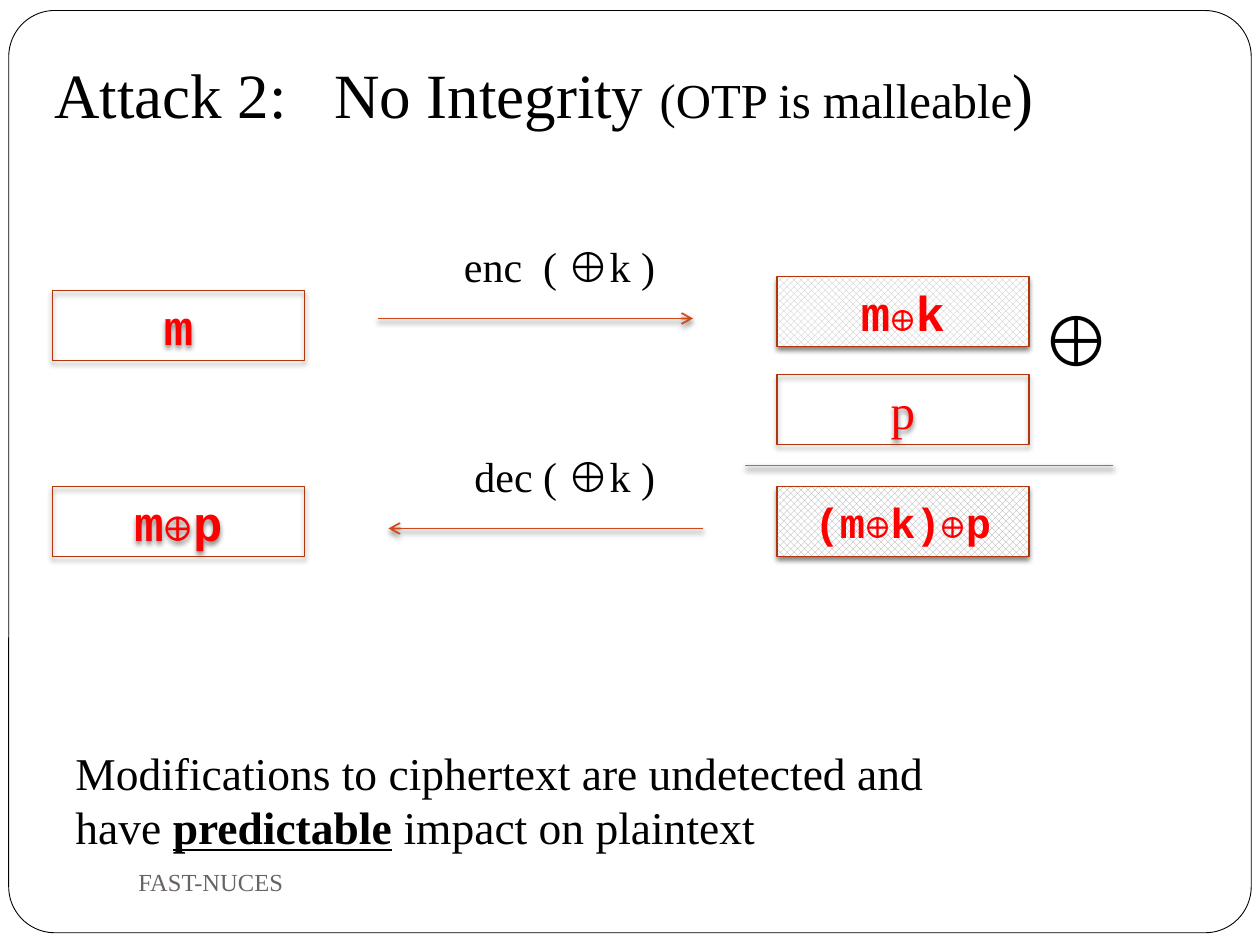
import pptx
import pptx.util
import pptx.dml.color
import pptx.enum.dml
import pptx.enum.shapes
import pptx.enum.text
import pptx.oxml
import pptx.oxml.ns
from lxml import etree

RGB = pptx.dml.color.RGBColor
BLACK = RGB(0x00, 0x00, 0x00)
WHITE = RGB(0xFF, 0xFF, 0xFF)
RED = RGB(0xFF, 0x00, 0x00)
RUST = RGB(0xB1, 0x36, 0x0B)
FLAME = RGB(0xD3, 0x48, 0x17)
GRAY = RGB(0x7F, 0x7F, 0x7F)
SLATE = RGB(0x69, 0x64, 0x64)
PALE = RGB(0xBF, 0xBF, 0xBF)
DIM = RGB(0xA6, 0xA6, 0xA6)

SERIF = "Times New Roman"
MONO = "Courier New"
COLS, ROWS = 360, 270
LEFT, RIGHT = 15, 222
WIDE, HIGH = 72, 20
ANCHOR = pptx.enum.text.MSO_ANCHOR
SHAPE = pptx.enum.shapes.MSO_SHAPE
SHADE = (
    '<a:outerShdw xmlns:a="http://schemas.openxmlformats.org/drawingml/2006/main"'
    ' blurRad="38100" dist="25400" dir="5400000" rotWithShape="0">'
    '<a:srgbClr val="000000"><a:alpha val="50000"/></a:srgbClr></a:outerShdw>'
)


def grid(*cells):
    """Turn grid columns and rows into lengths, 36 cells to the inch."""
    return [pptx.util.Inches(cell / 36) for cell in cells]


def shade(props):
    """Cast a soft shadow straight down from a shape or line."""
    name = pptx.oxml.ns.qn("a:effectLst")
    effects = props.find(name)
    if effects is None:
        effects = etree.SubElement(props, name)
    effects.append(pptx.oxml.parse_xml(SHADE))


def style(run, size, face, color, bold=False):
    """Set the font of one run."""
    font = run.font
    font.size = pptx.util.Pt(size)
    font.name = face
    font.color.rgb = color
    font.bold = bold


def write(par, parts, face, color, bold=False):
    """Fill a paragraph with pieces of text, each with its own size."""
    for text, size in parts:
        run = par.add_run()
        run.text = text
        style(run, size, face, color, bold)


def note(slide, area, parts, color=BLACK, anchor=ANCHOR.TOP, wrap=True):
    """Add a text box and return its frame."""
    frame = slide.shapes.add_textbox(*grid(*area)).text_frame
    frame.word_wrap = wrap
    frame.vertical_anchor = anchor
    write(frame.paragraphs[0], parts, SERIF, color)
    return frame


def block(slide, col, row, parts, face=MONO, check=None):
    """Add a message box, checked when it holds ciphertext."""
    box = slide.shapes.add_shape(SHAPE.RECTANGLE, *grid(col, row, WIDE, HIGH))
    if check is None:
        box.fill.background()
    else:
        box.fill.patterned()
        box.fill.pattern = pptx.enum.dml.MSO_PATTERN.LARGE_CHECKER_BOARD
        box.fill.fore_color.rgb = check
        box.fill.back_color.rgb = WHITE
    box.line.color.rgb = RUST
    box.line.width = pptx.util.Pt(0.75)
    box.shadow.inherit = False
    shade(box._element.spPr)
    frame = box.text_frame
    frame.word_wrap = True
    frame.vertical_anchor = ANCHOR.MIDDLE
    par = frame.paragraphs[0]
    par.alignment = pptx.enum.text.PP_ALIGN.CENTER
    write(par, parts, face, RED, face == MONO)


def rule(slide, start, end, row, color=FLAME, arrow=True):
    """Draw a level line, with an arrowhead at its end if wanted."""
    kind = pptx.enum.shapes.MSO_CONNECTOR.STRAIGHT
    line = slide.shapes.add_connector(kind, *grid(start, row, end, row))
    line.line.color.rgb = color
    line.line.width = pptx.util.Pt(1)
    props = line._element.spPr
    if arrow:
        stroke = props.find(pptx.oxml.ns.qn("a:ln"))
        etree.SubElement(stroke, pptx.oxml.ns.qn("a:tailEnd"), type="arrow")
    shade(props)


def border(slide):
    """Draw the rounded border of the slide."""
    area = grid(2.5, 3, COLS - 5, ROWS - 6.5)
    edge = slide.shapes.add_shape(SHAPE.ROUNDED_RECTANGLE, *area)
    edge.adjustments[0] = 0.05
    edge.fill.solid()
    edge.fill.fore_color.rgb = WHITE
    edge.line.color.rgb = BLACK
    edge.line.width = pptx.util.Pt(0.5)
    edge.shadow.inherit = False


def title(slide):
    """Add the heading."""
    parts = [("Attack 2:   No Integrity ", 36), ("(OTP is malleable", 27.9), (")", 36)]
    frame = note(slide, (12, 12, 306, 29), parts, anchor=ANCHOR.BOTTOM)
    frame.margin_bottom = pptx.util.Inches(0.1)


def claim(slide):
    """Add the closing statement with its stressed word."""
    first = [("Modifications to ciphertext are undetected and ", 26)]
    par = note(slide, (18, 211, 324, 52), first).paragraphs[0]
    par.add_line_break()
    write(par, [("have ", 26)], SERIF, BLACK)
    write(par, [("predictable", 26)], SERIF, BLACK, True)
    par.runs[-1].font.underline = True
    write(par, [(" impact on plaintext", 26)], SERIF, BLACK)


def main():
    """Build and save the slide."""
    deck = pptx.Presentation()
    deck.slide_width, deck.slide_height = grid(COLS, ROWS)
    slide = deck.slides.add_slide(deck.slide_layouts[6])
    border(slide)
    title(slide)
    claim(slide)

    block(slide, LEFT, 83, [("m", 28)])
    rule(slide, 108, 198, 91)
    note(slide, (129, 67, 66, 18), [("enc  ( ⊕k )", 24)], wrap=False)
    block(slide, RIGHT, 79, [("m", 28), ("⊕", 24), ("k", 28)], check=PALE)

    rule(slide, 201, 111, 151)
    note(slide, (132, 127, 63, 18), [("dec ( ⊕k )", 24)], wrap=False)
    block(slide, LEFT, 139, [("m⊕p", 28)])

    block(slide, RIGHT, 107, [("p", 28)], face=SERIF)
    block(slide, RIGHT, 139, [("(m⊕k)⊕p", 24)], check=DIM)
    note(slide, (RIGHT + WIDE, 83, 27.5, 27.5), [("⊕", 40)], wrap=False)
    rule(slide, 213, 318, 133, GRAY, False)

    note(slide, (36, 243, 156, 18), [("FAST-NUCES", 14)], SLATE, ANCHOR.MIDDLE)
    deck.save("out.pptx")


if __name__ == "__main__":
    main()
